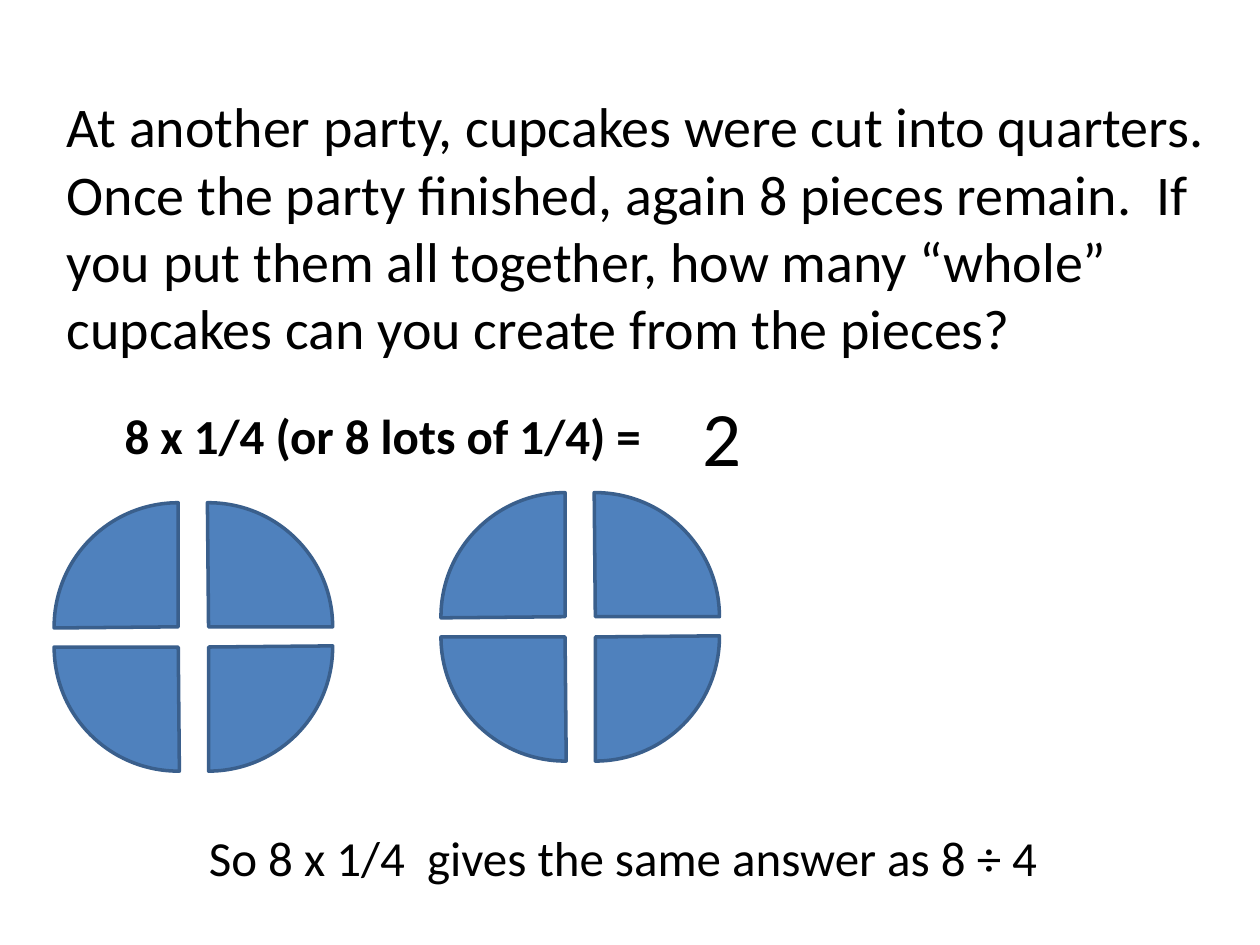
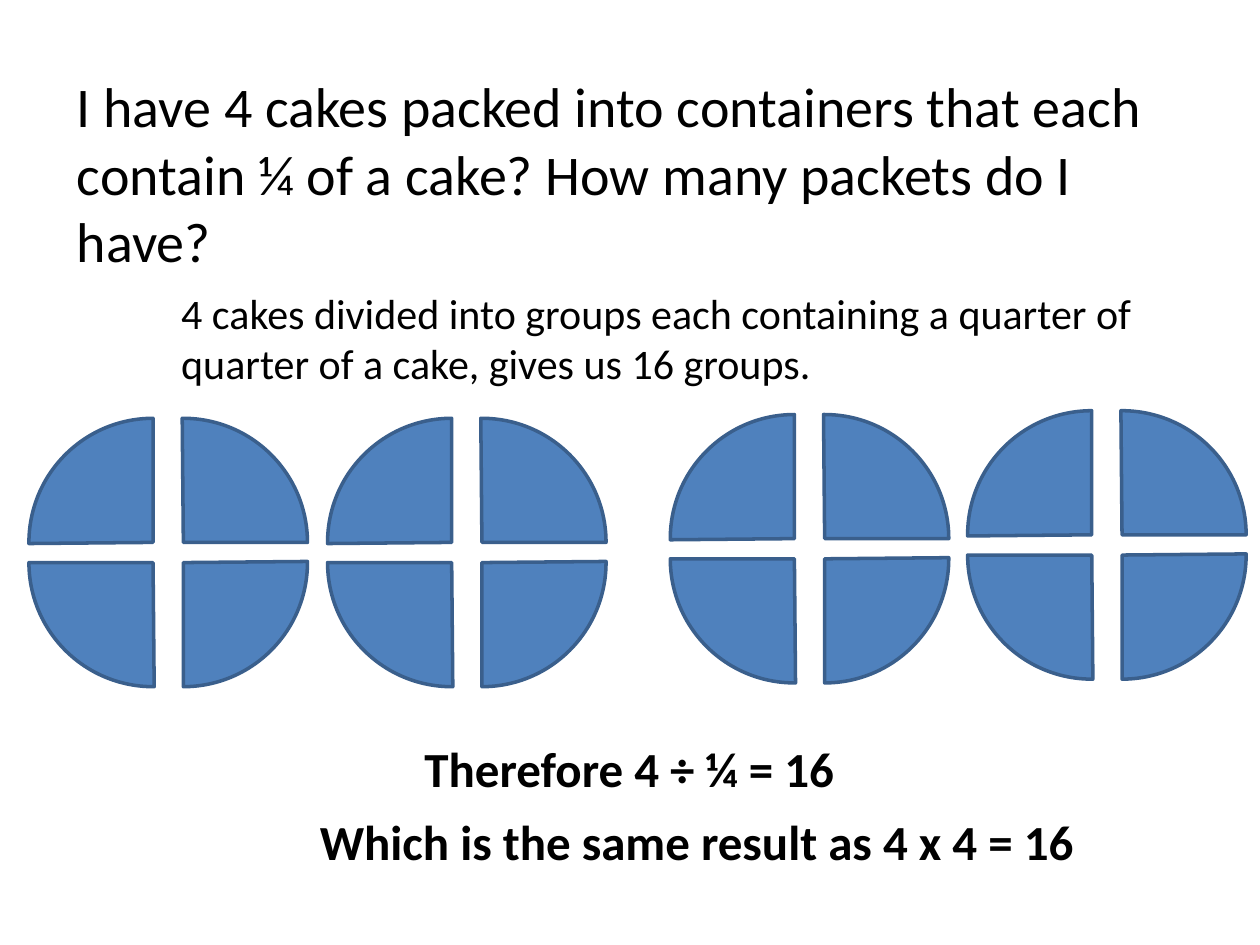
from pptx import Presentation
from pptx.dml.color import RGBColor
from pptx.enum.shapes import MSO_SHAPE
from pptx.enum.text import MSO_ANCHOR, MSO_AUTO_SIZE, PP_ALIGN
from pptx.util import Inches, Pt

# Shared look
BLACK = RGBColor(0x00, 0x00, 0x00)
CAKE_BLUE = RGBColor(0x4F, 0x81, 0xBD)
CAKE_EDGE = RGBColor(0x3A, 0x5F, 0x8C)
FONT = "Calibri"
TITLE_SIZE = 32

# Each cake is four quarter pies, pulled apart by a small gap
PIE_SIZE = 1.97
PIE_ANGLES = (107.682, 162)
GAP_X, GAP_Y = 0.24, 0.16
QUARTERS = [(0, 0, 0), (1, 0, 90), (1, 1, 180), (0, 1, 270)]  # column, row, rotation

# Content: boxes are (left, top, width, height), cakes are (left, top)
SLIDES = [
    {
        "question": ("At another party, cupcakes were cut into quarters.  Once the party "
                     "finished, again 8 pieces remain.  If you put them all together, how "
                     "many “whole” cupcakes can you create from the pieces?",
                     (0.43, 0.68, 9.57, 2.26)),
        "texts": [
            ("8 x 1/4 (or 8 lots of 1/4) =", (0.89, 3.17, 8.66, 0.57), 28, True),
            ("2", (5.48, 3.04, 1.89, 0.84), 44, False),
            ("So 8 x 1/4  gives the same answer as 8 ÷ 4", (1.56, 6.52, 7.24, 0.57), 28, False),
        ],
        "cakes": [(0.43, 3.99), (3.5, 3.91)],
    },
    {
        "question": ("I have 4 cakes packed into containers that each contain ¼ of a cake? "
                     "How many packets do I have?",
                     (0.51, 0.52, 8.82, 1.72)),
        "texts": [
            ("4 cakes divided into groups each containing a quarter of quarter of a cake, "
             "gives us 16 groups.", (1.34, 2.23, 8.43, 0.91), 24, False),
            ("Therefore 4 ÷ ¼ = 16", (3.27, 5.81, 4.25, 0.57), 28, True),
            ("Which is the same result as 4 x 4 = 16", (2.44, 6.39, 6.89, 0.57), 28, True),
        ],
        "cakes": [(0.23, 3.32), (2.6, 3.32), (5.32, 3.29), (7.68, 3.26)],
    },
]


def write_text(sp, text, size, bold=False):
    tf = sp.text_frame
    frame_format = {"word_wrap": True, "auto_size": MSO_AUTO_SIZE.NONE,
                    "vertical_anchor": MSO_ANCHOR.TOP}
    for name, value in frame_format.items():
        setattr(tf, name, value)
    p = tf.paragraphs[0]
    p.alignment = PP_ALIGN.LEFT
    r = p.add_run()
    r.text = text
    for name, value in {"name": FONT, "size": Pt(size), "bold": bold}.items():
        setattr(r.font, name, value)
    r.font.color.rgb = BLACK


def add_title(s, text, box):
    sp = s.shapes.title
    for name, value in zip(("left", "top", "width", "height"), box):
        setattr(sp, name, Inches(value))
    write_text(sp, text, TITLE_SIZE)


def add_cake(s, left, top):
    for column, row, rotation in QUARTERS:
        sp = s.shapes.add_shape(
            MSO_SHAPE.PIE, Inches(left + column * GAP_X), Inches(top + row * GAP_Y),
            Inches(PIE_SIZE), Inches(PIE_SIZE))
        for i, angle in enumerate(PIE_ANGLES):
            sp.adjustments[i] = angle
        sp.rotation = rotation
        sp.shadow.inherit = False
        sp.fill.solid()
        sp.fill.fore_color.rgb = CAKE_BLUE
        sp.line.color.rgb = CAKE_EDGE
        sp.line.width = Pt(2)


def main():
    prs = Presentation()
    prs.slide_width, prs.slide_height = Inches(10), Inches(7.5)
    title_only = prs.slide_layouts[5]
    for content in SLIDES:
        s = prs.slides.add_slide(title_only)
        add_title(s, *content["question"])
        for text, box, size, bold in content["texts"]:
            sp = s.shapes.add_textbox(*map(Inches, box))
            write_text(sp, text, size, bold)
        for left, top in content["cakes"]:
            add_cake(s, left, top)
    prs.save("out.pptx")


if __name__ == "__main__":
    main()
